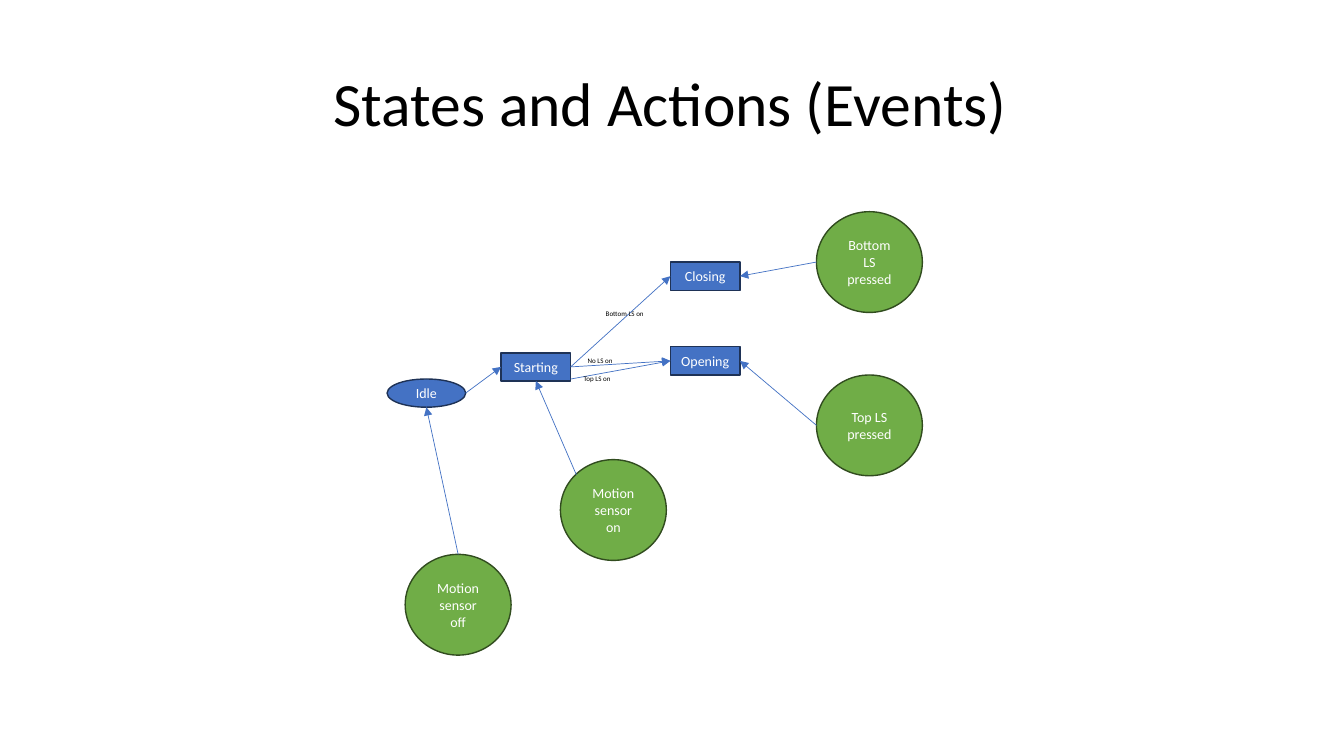
from pptx import Presentation
from pptx.dml.color import RGBColor
from pptx.enum.shapes import MSO_CONNECTOR, MSO_SHAPE
from pptx.enum.text import MSO_ANCHOR, MSO_AUTO_SIZE, PP_ALIGN
from pptx.oxml.ns import qn
from pptx.util import Inches, Pt
from lxml import etree

OVAL, RECTANGLE = MSO_SHAPE.OVAL, MSO_SHAPE.RECTANGLE
STRAIGHT = MSO_CONNECTOR.STRAIGHT
CENTER, MIDDLE, BOTTOM = PP_ALIGN.CENTER, MSO_ANCHOR.MIDDLE, MSO_ANCHOR.BOTTOM
GROW = MSO_AUTO_SIZE.SHAPE_TO_FIT_TEXT

presentation = Presentation()
presentation.slide_width = Inches(13.33)
presentation.slide_height = Inches(7.5)
slide = presentation.slides.add_slide(presentation.slide_layouts[6])
column = presentation.slide_width / 100
row = presentation.slide_height / 100


def color(value):
    return RGBColor.from_string(value)


def write(shape, text, size, text_color):
    shape.text_frame.text = text
    paragraph = shape.text_frame.paragraphs[0]
    font = paragraph.runs[0].font
    font.name = "Calibri"
    font.size = Pt(size)
    font.color.rgb = color(text_color)
    return paragraph


state_size = (5.18, 3.73)
event_size = (7.88, 13.33)
state_colors = ("4472C4", "1E3256")
event_colors = ("70AD47", "314C1F")
closing_column, pressed_column = 49.88, 60.75

nodes = [
    ("Idle", OVAL, 28.8, 50.13, (5.85, 3.73), state_colors),
    ("Starting", RECTANGLE, 37.28, 46.67, state_size, state_colors),
    ("Closing", RECTANGLE, closing_column, 34.67, state_size, state_colors),
    ("Opening", RECTANGLE, closing_column, 45.87, state_size, state_colors),
    ("Bottom LS pressed", OVAL, pressed_column, 28, event_size, event_colors),
    ("Top LS pressed", OVAL, pressed_column, 49.6, event_size, event_colors),
    ("Motion sensor off", OVAL, 30.15, 73.33, event_size, event_colors),
    ("Motion sensor on", OVAL, 41.7, 60.8, event_size, event_colors),
]
shapes = {}
for name, kind, left, top, (width, height), (fill, outline) in nodes:
    shape = slide.shapes.add_shape(
        kind, int(left * column), int(top * row), int(width * column), int(height * row))
    shape.shadow.inherit = False
    shape.fill.solid()
    shape.fill.fore_color.rgb = color(fill)
    shape.line.color.rgb = color(outline)
    shape.line.width = Pt(1)
    shape.text_frame.word_wrap = True
    shape.text_frame.vertical_anchor = MIDDLE
    write(shape, name, 10, "FFFFFF").alignment = CENTER
    shapes[name] = shape

left_side, right_side = (0, 0.5), (1, 0.5)
top_side, bottom_side = (0.5, 0), (0.5, 1)
arrows = [
    ("Idle", right_side, "Starting", left_side),
    ("Starting", right_side, "Closing", left_side),
    ("Starting", right_side, "Opening", left_side),
    ("Starting", (1, 0.93), "Opening", left_side),
    ("Bottom LS pressed", left_side, "Closing", right_side),
    ("Top LS pressed", left_side, "Opening", right_side),
    ("Motion sensor off", top_side, "Idle", bottom_side),
    ("Motion sensor on", (0.15, 0.15), "Starting", bottom_side),
]
for source, source_side, target, target_side in arrows:
    ends = []
    for name, (across, down) in ((source, source_side), (target, target_side)):
        shape = shapes[name]
        ends += [int(shape.left + across * shape.width), int(shape.top + down * shape.height)]
    connector = slide.shapes.add_connector(STRAIGHT, *ends)
    connector.line.color.rgb = color("4472C4")
    connector.line.width = Pt(0.5)
    etree.SubElement(connector.line._get_or_add_ln(), qn("a:tailEnd"), type="triangle")
    etree.SubElement(connector._element.spPr, qn("a:effectLst"))

labels = [
    ("Top LS on", 42.68, 48.93, 3.6),
    ("No LS on", 42.98, 46.53, 3.38),
    ("Bottom LS on", 44.33, 40.27, 4.35),
]
for text, left, top, width in labels:
    label = slide.shapes.add_textbox(
        int(left * column), int(top * row), int(width * column), int(2.53 * row))
    label.text_frame.word_wrap = False
    label.text_frame.auto_size = GROW
    write(label, text, 5, "000000")

title = slide.shapes.add_textbox(
    int(6.75 * column), int(7.2 * row), int(86.25 * column), int(12 * row))
title.text_frame.word_wrap = True
title.text_frame.vertical_anchor = BOTTOM
heading = write(title, "States and Actions (Events)", 44, "000000")
heading.alignment = CENTER
heading.line_spacing = 0.9

presentation.save("out.pptx")
